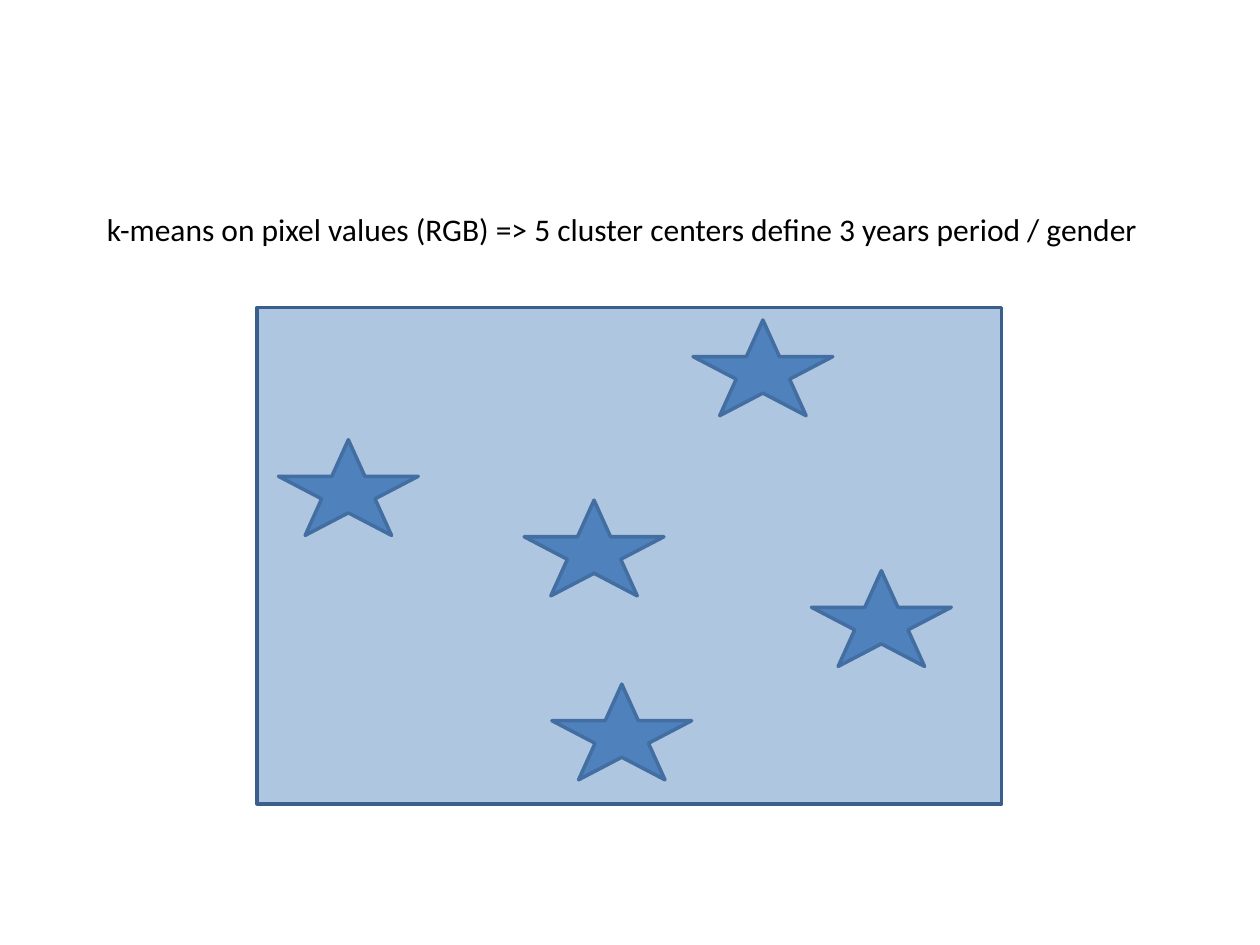
"""Build a slide showing five k-means cluster centers in a pixel space."""
from lxml import etree
from pptx import Presentation
from pptx.dml.color import RGBColor as RGB
from pptx.enum.shapes import MSO_SHAPE as SHAPE
from pptx.enum.text import MSO_AUTO_SIZE as AUTO
from pptx.oxml.ns import qn
from pptx.util import Pt

PX = 9144
COLORS = {"fill": "4F81BD", "line": "3A5F8C", "text": "000000"}
STAR_W, STAR_H = 111, 76
CENTERS = [(221, 349), (550, 254), (644, 453), (438, 543), (416, 397)]


def add_text(s, text, x, y, w, h, size=18, font="Calibri", color="text"):
    box = s.shapes.add_textbox(x * PX, y * PX, w * PX, h * PX)
    tf = box.text_frame
    tf.word_wrap = False
    tf.auto_size = AUTO.SHAPE_TO_FIT_TEXT
    r = tf.paragraphs[0].add_run()
    r.text = text
    r.font.size = Pt(size)
    r.font.name = font
    r.font.color.rgb = RGB.from_string(COLORS[color])


def add_shape(parent, kind, x, y, w, h):
    sp = parent.shapes.add_shape(kind, x * PX, y * PX, w * PX, h * PX)
    sp.shadow.inherit = False
    sp.fill.solid()
    sp.fill.fore_color.rgb = RGB.from_string(COLORS["fill"])
    sp.line.color.rgb = RGB.from_string(COLORS["line"])
    sp.line.width = Pt(2)
    return sp


prs = Presentation()
prs.slide_width, prs.slide_height = 1000 * PX, 750 * PX
s = prs.slides.add_slide(prs.slide_layouts[6])

clusters = s.shapes.add_group_shape()
for x, y in CENTERS:
    add_shape(clusters, SHAPE.STAR_5_POINT, x, y, STAR_W, STAR_H)

space = add_shape(clusters, SHAPE.RECTANGLE, 204, 244, 591, 394)
color = space.fill._xPr.find(qn("a:solidFill"))[0]
etree.SubElement(color, qn("a:alpha"), val="45000")

add_text(
    s,
    "k-means on pixel values (RGB) => 5 cluster centers define 3 years period / gender",
    75, 162, 849, 40,
)

prs.save("out.pptx")
